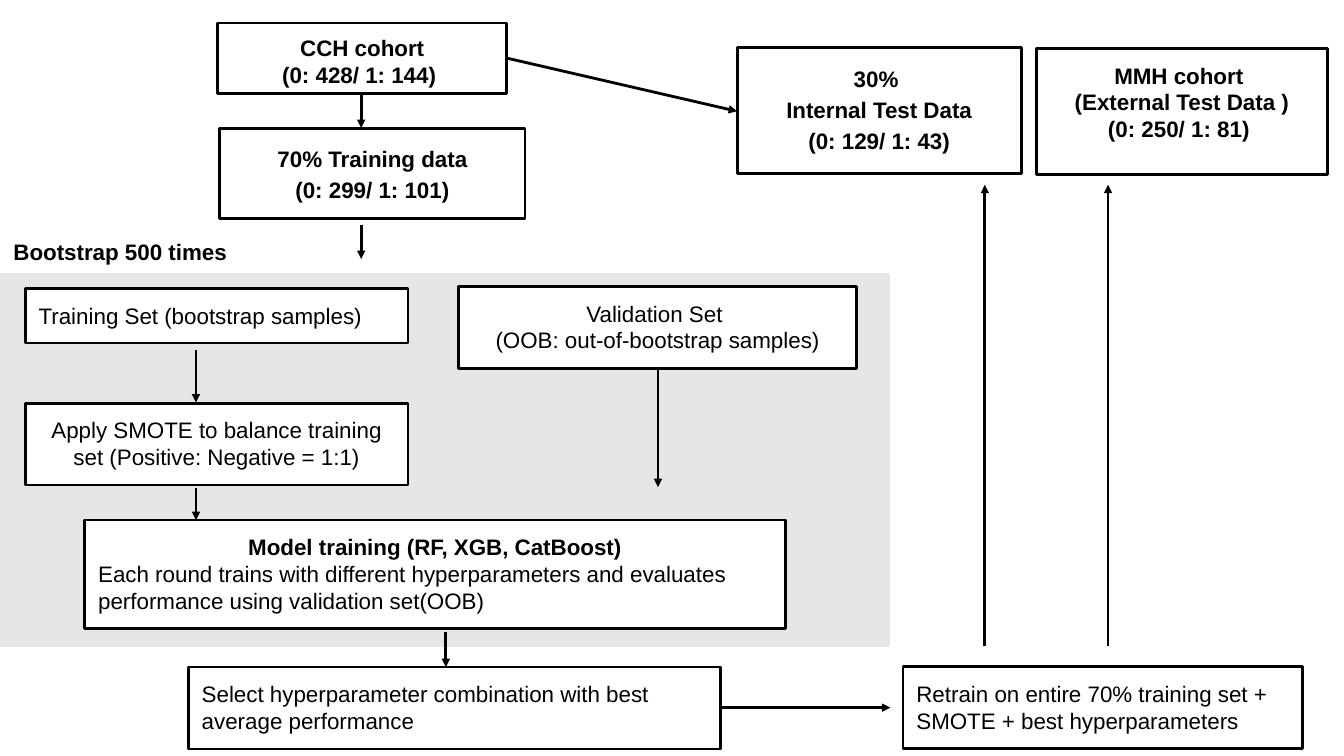
"""Draw the cohort split, bootstrap tuning and testing flow chart."""
from dataclasses import dataclass

from lxml.etree import SubElement
from pptx import Presentation
from pptx.dml.color import RGBColor
from pptx.enum.shapes import MSO_CONNECTOR, MSO_SHAPE
from pptx.enum.text import MSO_ANCHOR, PP_ALIGN
from pptx.oxml.ns import qn
from pptx.util import Pt


@dataclass(frozen=True)
class Theme:
    ink: RGBColor = RGBColor(0, 0, 0)
    paper: RGBColor = RGBColor(255, 255, 255)
    panel: RGBColor = RGBColor(0xE7, 0xE6, 0xE6)
    font: str = "Arial"
    size: float = 16
    line: float = 2
    inset: float = 9.6


THEME = Theme()
LEFT, CENTER = PP_ALIGN.LEFT, PP_ALIGN.CENTER


def add_paragraph(frame, text, first=False, bold=False, align=LEFT, spacing=1.0):
    """Write one formatted paragraph into a text frame."""
    paragraph = frame.paragraphs[0] if first else frame.add_paragraph()
    paragraph.alignment = align
    paragraph.line_spacing = spacing
    run = paragraph.add_run()
    run.text = text
    run.font.name = THEME.font
    run.font.size = Pt(THEME.size)
    run.font.bold = bold
    run.font.color.rgb = THEME.ink


def set_up_frame(frame, inset=THEME.inset):
    """Wrap text from the top with equal margins."""
    frame.word_wrap = True
    frame.vertical_anchor = MSO_ANCHOR.TOP
    frame.margin_left = frame.margin_right = Pt(inset)
    frame.margin_top = frame.margin_bottom = Pt(inset)


def add_rectangle(slide, bounds, fill, outline):
    """Add a flat rectangle and return it."""
    rectangle = slide.shapes.add_shape(MSO_SHAPE.RECTANGLE, *map(Pt, bounds))
    rectangle.shadow.inherit = False
    rectangle.fill.solid()
    rectangle.fill.fore_color.rgb = fill
    rectangle.line.color.rgb = outline
    rectangle.line.width = Pt(THEME.line)
    return rectangle


def add_step(slide, bounds, lines, inset=THEME.inset, **style):
    """Add an outlined box holding one step of the flow."""
    frame = add_rectangle(slide, bounds, THEME.paper, THEME.ink).text_frame
    set_up_frame(frame, inset)
    for index, line in enumerate(lines):
        add_paragraph(frame, line, first=index == 0, **style)
    return frame


def add_heading(slide, bounds, text):
    """Add a bold label without an outline."""
    frame = slide.shapes.add_textbox(*map(Pt, bounds)).text_frame
    set_up_frame(frame)
    add_paragraph(frame, text, first=True, bold=True)


def add_arrow(slide, start, end):
    """Add a straight arrow between two points."""
    arrow = slide.shapes.add_connector(
        MSO_CONNECTOR.STRAIGHT, *map(Pt, (*start, *end)))
    arrow.line.color.rgb = THEME.ink
    arrow.line.width = Pt(THEME.line)
    outline = arrow.line._get_or_add_ln()
    SubElement(outline, qn("a:tailEnd"), type="triangle")
    SubElement(arrow._element.spPr, qn("a:effectLst"))


def add_cohorts(slide):
    """Add the cohorts and the split into training and test data."""
    title = {"bold": True, "align": CENTER}
    add_step(slide, (155.5, 16.5, 206.5, 50.5),
             ["CCH cohort", "(0: 428/ 1: 144) "], inset=8, **title)
    add_step(slide, (526.5, 34, 203, 90),
             ["30% ", "Internal Test Data", "(0: 129/ 1: 43)"],
             spacing=1.15, **title)
    add_step(slide, (157, 91.5, 218, 64.5),
             ["70% Training data", "(0: 299/ 1: 101)"], spacing=1.15, **title)
    add_step(slide, (740.5, 34.5, 207.5, 90),
             ["MMH cohort ", "(External Test Data )", "(0: 250/ 1: 81) "],
             **title)


def add_bootstrap(slide):
    """Add the steps repeated in each bootstrap round."""
    add_step(slide, (18, 206, 273.5, 39), ["Training Set (bootstrap samples)"])
    add_step(slide, (327.5, 204.5, 284.5, 58.5),
             ["Validation Set ", "(OOB: out-of-bootstrap samples)"],
             align=CENTER)
    add_step(slide, (18, 288, 273.5, 58.5),
             ["Apply SMOTE to balance training set (Positive: Negative = 1:1)"],
             align=CENTER)
    model = add_step(slide, (60.5, 371.5, 500.5, 77.5),
                     ["Model training (RF, XGB, CatBoost)"],
                     bold=True, align=CENTER)
    add_paragraph(model, "Each round trains with different hyperparameters and "
                         "evaluates performance using validation set(OOB)")


def add_final_model(slide):
    """Add the selection and retraining steps."""
    add_step(slide, (134.5, 476.5, 380, 58.5),
             ["Select hyperparameter combination with best average performance"])
    add_step(slide, (645, 476, 285.5, 58.5),
             ["Retrain on entire 70% training set + SMOTE + best hyperparameters"])


def main():
    """Build the slide and save it."""
    deck = Presentation()
    deck.slide_width, deck.slide_height = Pt(960), Pt(540)
    slide = deck.slides.add_slide(deck.slide_layouts[6])
    add_rectangle(slide, (0, 196, 635, 265), THEME.panel, THEME.panel)
    add_heading(slide, (0, 160.5, 349, 44), "Bootstrap 500 times")
    add_cohorts(slide)
    add_bootstrap(slide)
    add_final_model(slide)

    downward = [(258, 67, 91.5), (258, 160.5, 185), (140, 250, 287.5),
                (140, 348.5, 371.5), (470, 263, 348), (318.5, 451.5, 476.5)]
    upward = [(703.5, 461.5, 132), (791.5, 461.5, 132)]
    for x, start, end in downward + upward:
        add_arrow(slide, (x, start), (x, end))
    add_arrow(slide, (362, 41.5), (526.5, 79.5))
    add_arrow(slide, (514.5, 505.5), (636, 505.5))
    deck.save("out.pptx")


if __name__ == "__main__":
    main()
